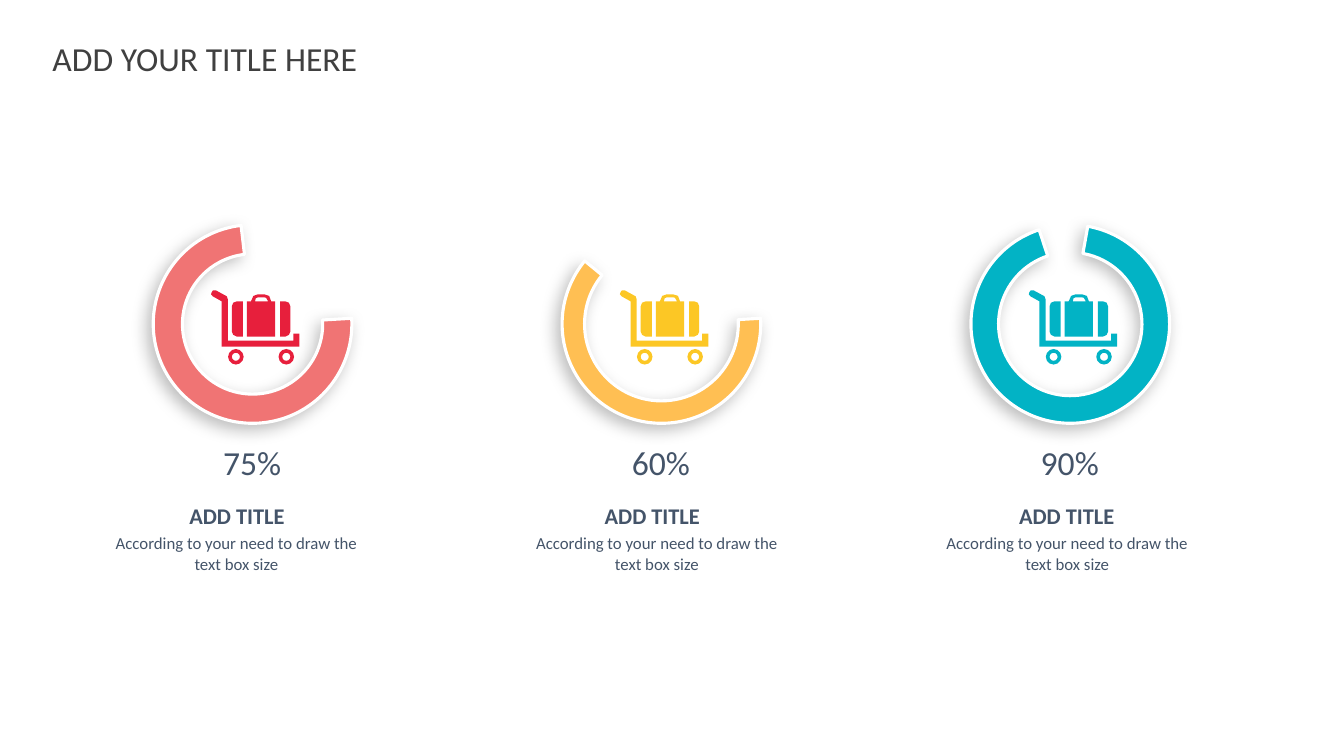
from math import cos, pi, sin

from lxml import etree
from pptx import Presentation
from pptx.dml.color import RGBColor
from pptx.enum.shapes import MSO_SHAPE
from pptx.enum.text import MSO_ANCHOR, MSO_AUTO_SIZE, PP_ALIGN
from pptx.oxml.ns import nsdecls, qn
from pptx.util import Inches, Pt

LEFT, CENTER = PP_ALIGN.LEFT, PP_ALIGN.CENTER
TOP, NO_AUTOFIT = MSO_ANCHOR.TOP, MSO_AUTO_SIZE.NONE
BLOCK_ARC = MSO_SHAPE.BLOCK_ARC

COLORS = {
    "title": "404040", "text": "445469", "white": "FFFFFF",
    "coral": "F07474", "red": "E71F3C",
    "orange": "FFBF53", "yellow": "FCC725", "teal": "02B3C5",
}
PITCH = 4.055
RING_LEFT, RING_TOP, RING_SIZE = 1.52, 2.23, 1.97
WHEEL_POINTS = 12

# Label, ring color, icon color, arc adjustments, heading left, body left
COLUMNS = [
    ("75%", "coral", "red", (171, 115, 0.147), 1.07, 1.07),
    ("60%", "orange", "yellow", (171, 88.68, 0.113), 5.19, 5.24),
    ("90%", "teal", "teal", (125.06, 108, 0.139), 9.30, 9.31),
]

# Luggage cart in the first column: a pair is a point,
# six numbers are a Bézier curve (two controls and the end)
CART_OUTLINES = [
    # Case: right end, left end, middle with handle, handle opening
    [(2.88, 3.29), (2.88, 3.04), (2.88, 3.01, 2.86, 2.99, 2.83, 2.99),
     (2.78, 2.99), (2.78, 3.34), (2.83, 3.34),
     (2.86, 3.34, 2.88, 3.31, 2.88, 3.29)],
    [(2.3, 3.29), (2.3, 3.04), (2.3, 3.01, 2.32, 2.99, 2.35, 2.99),
     (2.41, 2.99), (2.41, 3.34), (2.35, 3.34),
     (2.32, 3.34, 2.3, 3.31, 2.3, 3.29)],
    [(2.49, 2.99), (2.5, 2.94, 2.52, 2.92, 2.56, 2.92), (2.62, 2.92),
     (2.66, 2.92, 2.69, 2.94, 2.69, 2.99), (2.73, 2.99), (2.73, 3.34),
     (2.45, 3.34), (2.45, 2.99)],
    [(2.66, 2.99), (2.65, 2.95, 2.63, 2.95, 2.62, 2.95), (2.56, 2.95),
     (2.54, 2.95, 2.53, 2.96, 2.53, 2.99)],
    # Cart frame
    [(2.11, 2.94), (2.2, 2.99), (2.2, 3.44), (2.97, 3.44), (2.97, 3.31),
     (2.91, 3.31), (2.91, 3.38), (2.26, 3.38), (2.26, 2.97),
     (2.25, 2.94), (2.14, 2.88), (2.12, 2.88, 2.1, 2.88, 2.1, 2.9),
     (2.09, 2.91, 2.09, 2.93, 2.11, 2.94)],
]

# Replace each curve by its midpoint and end, then add the wheels with their holes
cart = []
for outline in CART_OUTLINES:
    points = []
    for step in outline:
        if len(step) == 6:
            start_x, start_y = points[-1]
            x1, y1, x2, y2, end_x, end_y = step
            points.append(((start_x + 3 * x1 + 3 * x2 + end_x) / 8,
                           (start_y + 3 * y1 + 3 * y2 + end_y) / 8))
        points.append(step[-2:])
    cart.append(points)
for wheel_x in (2.34, 2.84):
    for radius in (0.077, 0.04):
        angles = [2 * pi * i / WHEEL_POINTS for i in range(WHEEL_POINTS)]
        cart.append([(wheel_x + radius * cos(angle), 3.54 + radius * sin(angle))
                     for angle in angles])


def rgb(name):
    return RGBColor.from_string(COLORS[name])


def fill_text(shape, text, size, color, align, inset=True, bold=False):
    frame = shape.text_frame
    frame.word_wrap = True
    frame.auto_size = NO_AUTOFIT
    frame.vertical_anchor = TOP
    if not inset:
        frame.margin_left = frame.margin_right = 0
        frame.margin_top = frame.margin_bottom = 0
    paragraph = frame.paragraphs[0]
    paragraph.text = text
    paragraph.alignment = align
    font = paragraph.font
    font.name, font.size, font.bold = "Calibri", Pt(size), bold
    font.color.rgb = rgb(color)


presentation = Presentation()
presentation.slide_width, presentation.slide_height = Inches(13.33), Inches(7.5)
slide = presentation.slides.add_slide(presentation.slide_layouts[5])
shapes = slide.shapes

# Title
title = shapes.title
title.left, title.top = Inches(0.42), Inches(0.33)
title.width, title.height = Inches(4.65), Inches(0.51)
fill_text(title, "ADD YOUR TITLE HERE", 24, "title", LEFT)

for index, (label, ring_color, icon_color, arc, heading_left, body_left) in enumerate(COLUMNS):
    offset = index * PITCH

    # Progress ring with soft shadow
    ring = shapes.add_shape(BLOCK_ARC, Inches(RING_LEFT + offset), Inches(RING_TOP),
                            Inches(RING_SIZE), Inches(RING_SIZE))
    ring.rotation = 71.7
    for position, value in enumerate(arc):
        ring.adjustments[position] = value
    ring.fill.solid()
    ring.fill.fore_color.rgb = rgb(ring_color)
    ring.line.color.rgb = rgb("white")
    ring.line.width = Pt(2.25)
    ring.shadow.inherit = False
    effects = ring.element.spPr.find(qn("a:effectLst"))
    effects.append(etree.fromstring(
        f'<a:outerShdw {nsdecls("a")} blurRad="{Pt(12)}" dist="{Pt(5)}" dir="8100000" '
        'algn="tr" rotWithShape="0"><a:srgbClr val="000000"><a:alpha val="26000"/>'
        '</a:srgbClr></a:outerShdw>'))

    # Luggage cart icon
    builder = None
    for points in cart:
        placed = [(Inches(x + offset), Inches(y)) for x, y in points]
        if builder is None:
            builder = shapes.build_freeform(*placed[0])
        else:
            builder.move_to(*placed[0])
        builder.add_line_segments(placed[1:], close=True)
    icon = builder.convert_to_shape()
    icon.fill.solid()
    icon.fill.fore_color.rgb = rgb(icon_color)
    icon.line.fill.background()
    icon.shadow.inherit = False

    # Percentage, heading and description
    percentage = shapes.add_textbox(Inches(1.38 + offset), Inches(4.33),
                                    Inches(2.24), Inches(0.51))
    fill_text(percentage, label, 24, "text", CENTER)
    heading = shapes.add_textbox(Inches(heading_left), Inches(4.98), Inches(2.56), Inches(0.27))
    fill_text(heading, "ADD TITLE", 16, "text", CENTER, inset=False, bold=True)
    body = shapes.add_textbox(Inches(body_left), Inches(5.29), Inches(2.55), Inches(0.4))
    fill_text(body, "According to your need to draw the text box size", 12, "text", CENTER,
              inset=False)

presentation.save("out.pptx")
